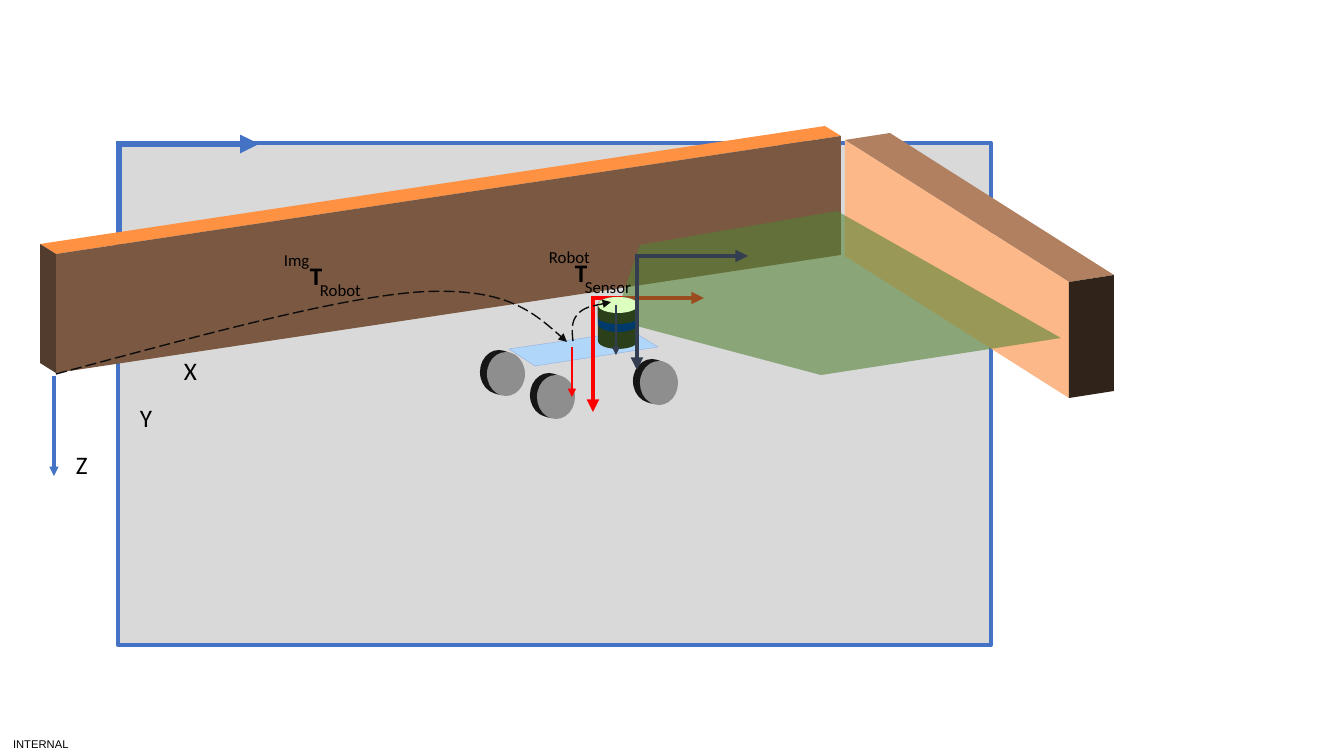
"""Build the slide showing image, robot and sensor coordinate frames."""
from dataclasses import dataclass

from lxml import etree
from pptx import Presentation
from pptx import util as u
from pptx.dml.color import RGBColor
from pptx.enum import dml, shapes, text
from pptx.oxml.ns import qn

SCALE = 914400 / 100.8


@dataclass(frozen=True)
class Theme:
    """Hold the colours, fonts and type sizes."""
    black: str = "000000"
    blue: str = "4472C4"
    floor: str = "D9D9D9"
    red: str = "FF0000"
    slate: str = "333F50"
    curve: str = "0D0D0D"
    wheel: str = "8E8E8E"
    tyre: str = "161616"
    platform: str = "B0D6FA"
    platform_edge: str = "8FAADC"
    back_wall: tuple = ("FF9142", "7A5841", "523C2D")
    side_wall: tuple = ("B08060", "FCB888", "30231A")
    view: str = "548235"
    sensor: str = "2A3F1A"
    band: str = "003A6B"
    lid: str = "DCFFC0"
    font: str = "Calibri"
    footer_font: str = "Arial"
    large: int = 18
    small: int = 12
    footer: int = 8


THEME = Theme()


def px(value):
    """Turn pixels into EMU."""
    return u.Emu(round(value * SCALE))


def at(box, x, y):
    """Move a local point to its place on the slide."""
    return box[0] + x, box[1] + y


def style(shape, fill=None, line=None, weight=1):
    """Set fill and outline and remove the shadow."""
    shape.shadow.inherit = False
    if fill:
        shape.fill.solid()
        shape.fill.fore_color.rgb = RGBColor.from_string(fill)
    else:
        shape.fill.background()
    if line:
        shape.line.color.rgb = RGBColor.from_string(line)
        shape.line.width = u.Pt(weight)
    else:
        shape.line.fill.background()
    return shape


def add_preset(parent, kind, box, fill, line=None, weight=1):
    """Add a styled preset shape."""
    shape = parent.add_shape(kind, *map(px, box))
    return style(shape, fill, line, weight)


def add_outline(parent, points, fill=None, line=None, weight=1, close=True):
    """Add a styled freeform through the points."""
    builder = parent.build_freeform(*points[0], scale=SCALE)
    builder.add_line_segments(points[1:], close=close)
    return style(builder.convert_to_shape(), fill, line, weight)


def add_head(shape):
    """Put a triangle at the end of a line."""
    line = shape.line._get_or_add_ln()
    etree.SubElement(line, qn("a:tailEnd"), type="triangle")


def add_arrow(parent, start, end, colour, weight):
    """Add a straight arrow."""
    arrow = parent.add_connector(shapes.MSO_CONNECTOR.STRAIGHT, *map(px, start + end))
    arrow.line.color.rgb = RGBColor.from_string(colour)
    arrow.line.width = u.Pt(weight)
    etree.SubElement(arrow.element.spPr, qn("a:effectLst"))
    add_head(arrow)


def add_curve(parent, box, points):
    """Add a dashed Bezier arrow with a start and triples of points."""
    shape = add_outline(parent, [at(box, *point) for point in points],
                        line=THEME.curve, close=False)
    shape.line.dash_style = dml.MSO_LINE.LONG_DASH
    segments = list(shape.element.iter(qn("a:lnTo")))
    for first in range(0, len(segments), 3):
        bezier = etree.Element(qn("a:cubicBezTo"))
        segments[first].addprevious(bezier)
        for segment in segments[first:first + 3]:
            bezier.append(segment[0])
            segment.getparent().remove(segment)
    add_head(shape)


def add_label(parent, box, words, size, bold=False, font=THEME.font):
    """Add a single line of text."""
    label = parent.add_textbox(*map(px, box))
    label.text_frame.word_wrap = False
    run = label.text_frame.paragraphs[0].add_run()
    run.text = words
    run.font.name, run.font.size, run.font.bold = font, u.Pt(size), bold
    run.font.color.rgb = RGBColor.from_string(THEME.black)
    return label


def draw_image_plane(parent, box):
    """Draw the image rectangle with its two axes."""
    add_preset(parent, shapes.MSO_SHAPE.RECTANGLE, box, THEME.floor, THEME.blue, 3)
    for start, end in (((0, 1), (141, 1)), ((1, -2), (1, 162))):
        add_arrow(parent, at(box, *start), at(box, *end), THEME.blue, 4.5)


def draw_axis_names(parent, box):
    """Name the three image axes and draw the vertical one."""
    for name, x, y in (("X", 120, -26), ("Y", 76, 21), ("Z", 12, 68)):
        add_label(parent, (*at(box, x, y), 33, 40), name, THEME.large)
    add_arrow(parent, at(box, 0, 0), at(box, 0, 100), THEME.blue, 2.25)


def draw_robot(parent, box):
    """Draw the platform on its wheels."""
    def draw_wheel(x, y):
        """Draw one wheel as a tyre behind a disc."""
        for shift, colour in ((0, THEME.tyre), (3, THEME.tyre), (7, THEME.wheel)):
            add_preset(parent, shapes.MSO_SHAPE.OVAL,
                       (*at(box, x + shift, y + shift // 3), 38, 44), colour)

    draw_wheel(0, 17)
    corners = ((29, 16), (152, -2), (178, 14), (55, 33))
    add_outline(parent, [at(box, *corner) for corner in corners],
                THEME.platform, THEME.platform_edge, 0.25)
    draw_wheel(50, 40)
    draw_wheel(153, 26)


def draw_frame(parent, box, colour):
    """Draw a coordinate frame with two long axes and a short one."""
    for start, end, weight in (((0, 0), (113, 0), 3), ((2, 1), (2, 114), 3),
                               ((-19, 49), (-19, 99), 1.5)):
        add_arrow(parent, at(box, *start), at(box, *end), colour, weight)


def draw_wall(parent, box, length, depth, height, colours, end_left):
    """Draw a wall from its length and depth vectors."""
    def face(*points):
        """Place the corners of one face."""
        return [at(box, *point) for point in points]

    far = (length[0] + depth[0], length[1] + depth[1])
    edge = (0, 0) if end_left else length
    edge_back = depth if end_left else far

    def down(point):
        """Move a corner to the foot of the wall."""
        return point[0], point[1] + height

    faces = (face((0, 0), depth, far, length),
             face((0, 0), length, down(length), down((0, 0))),
             face(edge, edge_back, down(edge_back), down(edge)))
    for points, colour in zip(faces, colours):
        add_outline(parent, points, colour)


def draw_view(parent, box):
    """Draw the transparent field of view."""
    corners = ((0, 109), (26, 34), (223, 0), (447, 127), (207, 164))
    shape = add_outline(parent, [at(box, *corner) for corner in corners], THEME.view)
    colour = next(shape.element.spPr.iter(qn("a:srgbClr")))
    etree.SubElement(colour, qn("a:alpha"), val="59000")


def draw_sensor(parent, box):
    """Draw the banded sensor cylinder."""
    left, top, width, height = box
    for bottom, colour in ((height, THEME.sensor), (35, THEME.band), (27, THEME.sensor)):
        can = add_preset(parent, shapes.MSO_SHAPE.CAN, (left, top, width, bottom), colour)
        can.adjustments[0] = 16 / min(width, bottom)
    add_preset(parent, shapes.MSO_SHAPE.OVAL, (left, top, width, 16), THEME.lid)


def draw_transform(parent, box, target, source):
    """Write a transform symbol between its two frame names."""
    widths = {"Img": 48, "Robot": 64, "Sensor": 70}
    add_label(parent, (*at(box, 0, 0), widths[target], 30), target, THEME.small)
    add_label(parent, (*at(box, 26, 10), 33, 40), "T", THEME.large, True)
    add_label(parent, (*at(box, 36, 30), widths[source], 30), source, THEME.small)


def draw_footer(parent, box):
    """Write the classification mark."""
    label = add_label(parent, box, "INTERNAL", THEME.footer, font=THEME.footer_font)
    frame = label.text_frame
    frame.margin_left = frame.margin_right = frame.margin_top = frame.margin_bottom = 0
    frame.vertical_anchor = text.MSO_ANCHOR.MIDDLE


def main():
    """Build and save the slide."""
    presentation = Presentation()
    presentation.slide_width, presentation.slide_height = px(1344), px(756)
    slide = presentation.slides.add_slide(presentation.slide_layouts[6])

    def region(draw, box, *details):
        """Draw a region in its own group."""
        draw(slide.shapes.add_group_shape().shapes, box, *details)

    draw_footer(slide.shapes, (13, 732, 69, 24))
    region(draw_image_plane, (118, 143, 873, 502))
    region(draw_axis_names, (54, 376, 153, 108))
    region(draw_robot, (480, 333, 198, 85))
    region(draw_frame, (591, 298, 113, 114), THEME.red)
    region(draw_wall, (56, 254, 785, 119), (785, -118), (-16, -10), 119,
           THEME.back_wall, True)
    region(draw_wall, (845, 140, 269, 258), (224, 142), (45, -7), 116,
           THEME.side_wall, False)
    region(draw_view, (614, 211, 447, 164))
    region(draw_sensor, (598, 297, 40, 52))
    region(draw_frame, (635, 256, 113, 114), THEME.slate)
    add_curve(slide.shapes, (56, 292, 511, 82), (
        (0, 82), (139, 45), (279, 6), (363, 0), (449, -5), (480, 22), (511, 50)))
    region(draw_transform, (274, 245, 100, 60), "Img", "Robot")
    region(draw_transform, (539, 242, 106, 60), "Robot", "Sensor")
    add_curve(slide.shapes, (573, 302, 38, 39), (
        (0, 39), (-1, 29), (-2, 19), (5, 12), (11, 5), (25, 3), (38, 0)))
    presentation.save("out.pptx")


main()
